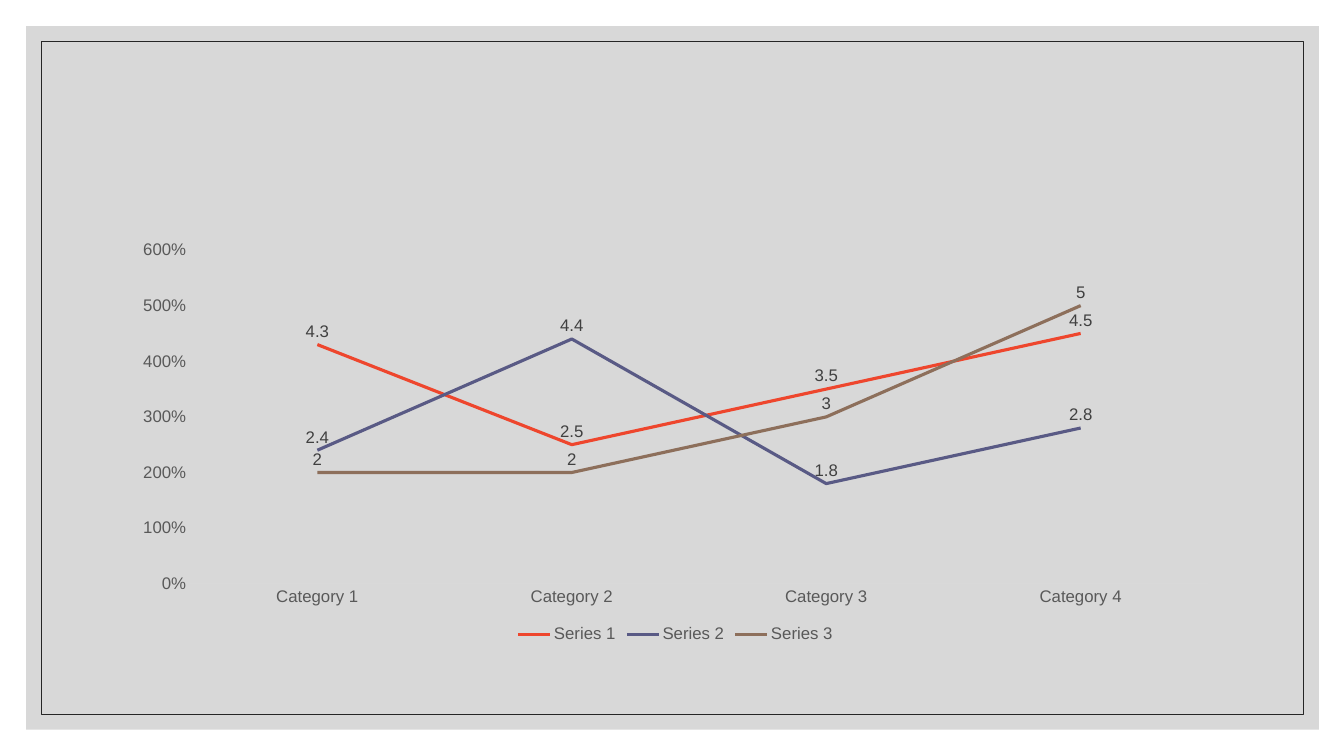
from lxml import etree
from pptx import Presentation
from pptx.chart.data import CategoryChartData
from pptx.dml.color import RGBColor
from pptx.enum.chart import XL_CHART_TYPE, XL_LABEL_POSITION, XL_LEGEND_POSITION
from pptx.enum.chart import XL_MARKER_STYLE, XL_TICK_MARK
from pptx.enum.shapes import MSO_SHAPE
from pptx.oxml.ns import qn
from pptx.util import Pt

RECT = MSO_SHAPE.RECTANGLE
LINE = XL_CHART_TYPE.LINE
ABOVE = XL_LABEL_POSITION.ABOVE
BOTTOM = XL_LEGEND_POSITION.BOTTOM
NO_MARKER = XL_MARKER_STYLE.NONE
NO_TICK = XL_TICK_MARK.NONE
EMU_PER_PX = 9144

CATEGORIES = [f"Category {n}" for n in range(1, 5)]
SERIES = [
    ("Series 1", "EE462D", (4.3, 2.5, 3.5, 4.5)),
    ("Series 2", "595A85", (2.4, 4.4, 1.8, 2.8)),
    ("Series 3", "8D6F5B", (2, 2, 3, 5)),
]


def px(*values):
    return [v * EMU_PER_PX for v in values]


def rgb(value):
    return RGBColor.from_string(value)


class Deck:
    font = "Arial"
    text = "595959"
    label = "404040"
    axis = "D9D9D9"

    def __init__(self, width, height):
        self.prs = Presentation()
        self.prs.slide_width, self.prs.slide_height = px(width, height)
        self.s = self.prs.slides.add_slide(self.prs.slide_layouts[6])

    def set_font(self, font, size=12, color=text):
        font.name = self.font
        font.size = Pt(size)
        font.color.rgb = rgb(color)

    def set_line(self, line, color, width):
        line.color.rgb = rgb(color)
        line.width = Pt(width)

    def rect(self, box, fill=None, opacity=100, line=None, width=0.5):
        sp = self.s.shapes.add_shape(RECT, *px(*box))
        sp.shadow.inherit = False
        if fill:
            sp.fill.solid()
            sp.fill.fore_color.rgb = rgb(fill)
            clr = sp.fill._xPr.find(qn("a:solidFill"))[0]
            etree.SubElement(clr, qn("a:alpha"), val=str(opacity * 1000))
        else:
            sp.fill.background()
        if line:
            self.set_line(sp.line, line, width)
        else:
            sp.line.fill.background()

    def line_chart(self, box, categories, series, top):
        data = CategoryChartData()
        data.categories = categories
        for name, _, values in series:
            data.add_series(name, values)
        chart = self.s.shapes.add_chart(LINE, *px(*box), data).chart
        self.set_font(chart.font)
        chart.has_title = False
        chart.has_legend = True
        chart.legend.position = BOTTOM
        chart.legend.include_in_layout = False
        self.set_font(chart.legend.font)

        cat, val = chart.category_axis, chart.value_axis
        for axis in (cat, val):
            axis.has_major_gridlines = False
            axis.major_tick_mark = axis.minor_tick_mark = NO_TICK
            self.set_font(axis.tick_labels.font)
        self.set_line(cat.format.line, self.axis, 0.75)
        val.format.line.fill.background()
        val.minimum_scale, val.maximum_scale, val.major_unit = 0, top, 1
        val.tick_labels.number_format = "0%"
        val.tick_labels.number_format_is_linked = False

        plot = chart.plots[0]
        plot.vary_by_categories = False
        for ser, (_, color, _) in zip(plot.series, series):
            ser.smooth = False
            ser.marker.style = NO_MARKER
            self.set_line(ser.format.line, color, 2.25)
            labels = ser.data_labels
            labels.show_value = True
            labels.position = ABOVE
            labels.number_format = "General"
            labels.number_format_is_linked = False
            self.set_font(labels.font, color=self.label)


def main():
    deck = Deck(1333, 750)
    deck.rect((26, 26, 1282, 698), fill="BFBFBF", opacity=60)
    deck.rect((41, 41, 1252, 668), line="262626")
    deck.line_chart((120, 231, 1100, 411), CATEGORIES, SERIES, top=6)
    deck.prs.save("out.pptx")


if __name__ == "__main__":
    main()
